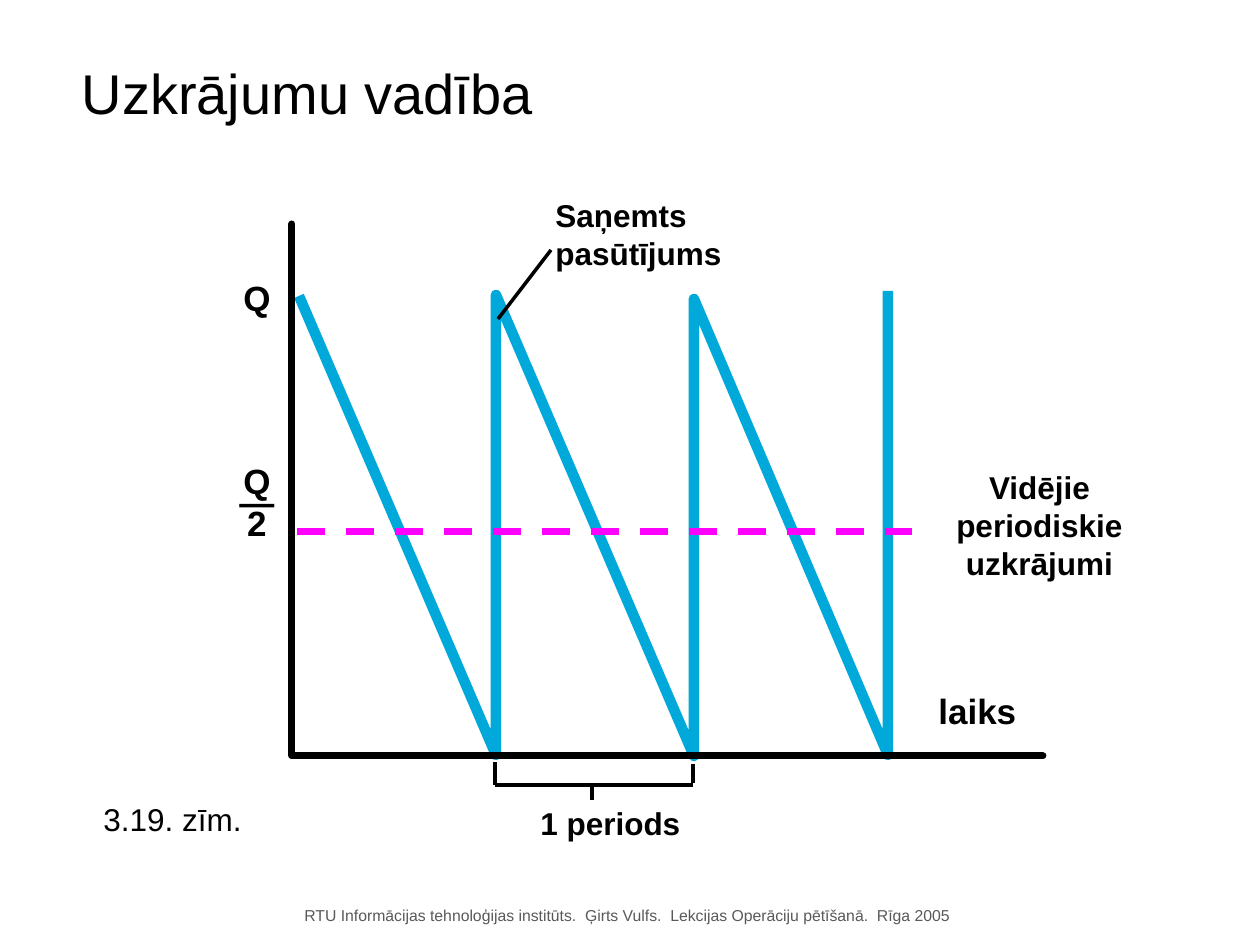
"""Build the inventory management slide with its sawtooth stock diagram."""
import pptx
import pptx.dml.color
import pptx.enum.dml
import pptx.enum.text
import pptx.oxml.ns
import pptx.util
from dataclasses import dataclass
from lxml import etree

PX = 914400 / 126


@dataclass(frozen=True)
class Theme:
    font: str = "Arial"
    ink: str = "000000"
    muted: str = "595959"
    stock: str = "00A9DA"
    average: str = "FF00FF"
    title: int = 32
    axis_label: int = 20
    label: int = 18
    footer: int = 9


theme = Theme()
LEFT = pptx.enum.text.PP_ALIGN.LEFT
CENTER = pptx.enum.text.PP_ALIGN.CENTER


def px(value):
    return pptx.util.Emu(round(value * PX))


def write(shape, box, text, size, bold=True, color=theme.ink, align=LEFT, wrap=False):
    shape.left, shape.top, shape.width, shape.height = map(px, box)
    shape.text_frame.text = text
    shape.text_frame.word_wrap = wrap
    for paragraph in shape.text_frame.paragraphs:
        paragraph.alignment = align
        paragraph.font.name = theme.font
        paragraph.font.size = pptx.util.Pt(size)
        paragraph.font.bold = bold
        paragraph.font.color.rgb = pptx.dml.color.RGBColor.from_string(color)
    return shape.text_frame


presentation = pptx.Presentation()
presentation.slide_width = px(1260)
presentation.slide_height = px(945)
slide = presentation.slides.add_slide(presentation.slide_layouts[5])
shapes = slide.shapes

title_frame = write(shapes.title, (69, 0, 878, 185), "Uzkrājumu vadība", theme.title, False, wrap=True)
title_frame.vertical_anchor = pptx.enum.text.MSO_ANCHOR.MIDDLE
title_frame.auto_size = pptx.enum.text.MSO_AUTO_SIZE.NONE

stock_points = [(299, 296), (496, 755), (496, 295), (694, 756), (694, 299), (888, 755), (888, 291)]
axis_points = [(292, 224), (292, 756), (1043, 756)]
for points, color, width, cap in (
    (stock_points, theme.stock, 6, "flat"),
    (axis_points, theme.ink, 4, "rnd"),
):
    builder = shapes.build_freeform(*points[0], scale=PX)
    builder.add_line_segments(points[1:], close=False)
    outline = builder.convert_to_shape()
    outline.shadow.inherit = False
    outline.fill.background()
    outline.line.color.rgb = pptx.dml.color.RGBColor.from_string(color)
    outline.line.width = pptx.util.Pt(width)
    line_element = outline.element.spPr.find(pptx.oxml.ns.qn("a:ln"))
    line_element.set("cap", cap)
    etree.SubElement(line_element, pptx.oxml.ns.qn("a:round"))

average_line = (297, 532, 927, 532)
bracket = [(693, 764, 693, 783), (693, 785, 495, 785), (495, 785, 495, 762), (592, 786, 592, 800)]
callout = (551, 250, 498, 319)
for ends in [average_line, *bracket, callout]:
    is_average = ends == average_line
    connector = shapes.add_connector(pptx.enum.shapes.MSO_CONNECTOR.STRAIGHT, *map(px, ends))
    color = theme.average if is_average else theme.ink
    connector.line.color.rgb = pptx.dml.color.RGBColor.from_string(color)
    connector.line.width = pptx.util.Pt(4 if is_average else 2)
    if is_average:
        connector.line.dash_style = pptx.enum.dml.MSO_LINE.DASH
    etree.SubElement(connector.element.spPr, pptx.oxml.ns.qn("a:effectLst"))

for box, text, size, options in (
    ((926, 683, 103, 54), "laiks", theme.axis_label, {}),
    ((935, 462, 209, 126), "Vidējie\nperiodiskie\nuzkrājumi", theme.label, {"align": CENTER}),
    ((528, 798, 165, 50), "1 periods", theme.label, {}),
    ((543, 190, 200, 88), "Saņemts pasūtījums", theme.label, {"wrap": True}),
    ((91, 794, 164, 50), "3.19. zīm.", theme.label, {"bold": False}),
    (
        (292, 900, 672, 31),
        "RTU Informācijas tehnoloģijas institūts.  Ģirts Vulfs.  Lekcijas Operāciju pētīšanā.  Rīga 2005",
        theme.footer,
        {"bold": False, "color": theme.muted},
    ),
):
    write(shapes.add_textbox(0, 0, 0, 0), box, text, size, **options)

quantity_box = shapes.add_textbox(0, 0, 0, 0)
quantity_frame = write(quantity_box, (227, 270, 60, 273), "Q\nQ\n—\n2", theme.axis_label, align=CENTER)
fraction = quantity_frame.paragraphs[1:]
fraction[0].space_before = pptx.util.Pt(91)
for paragraph in fraction:
    paragraph.line_spacing = 0.5

presentation.save("out.pptx")
